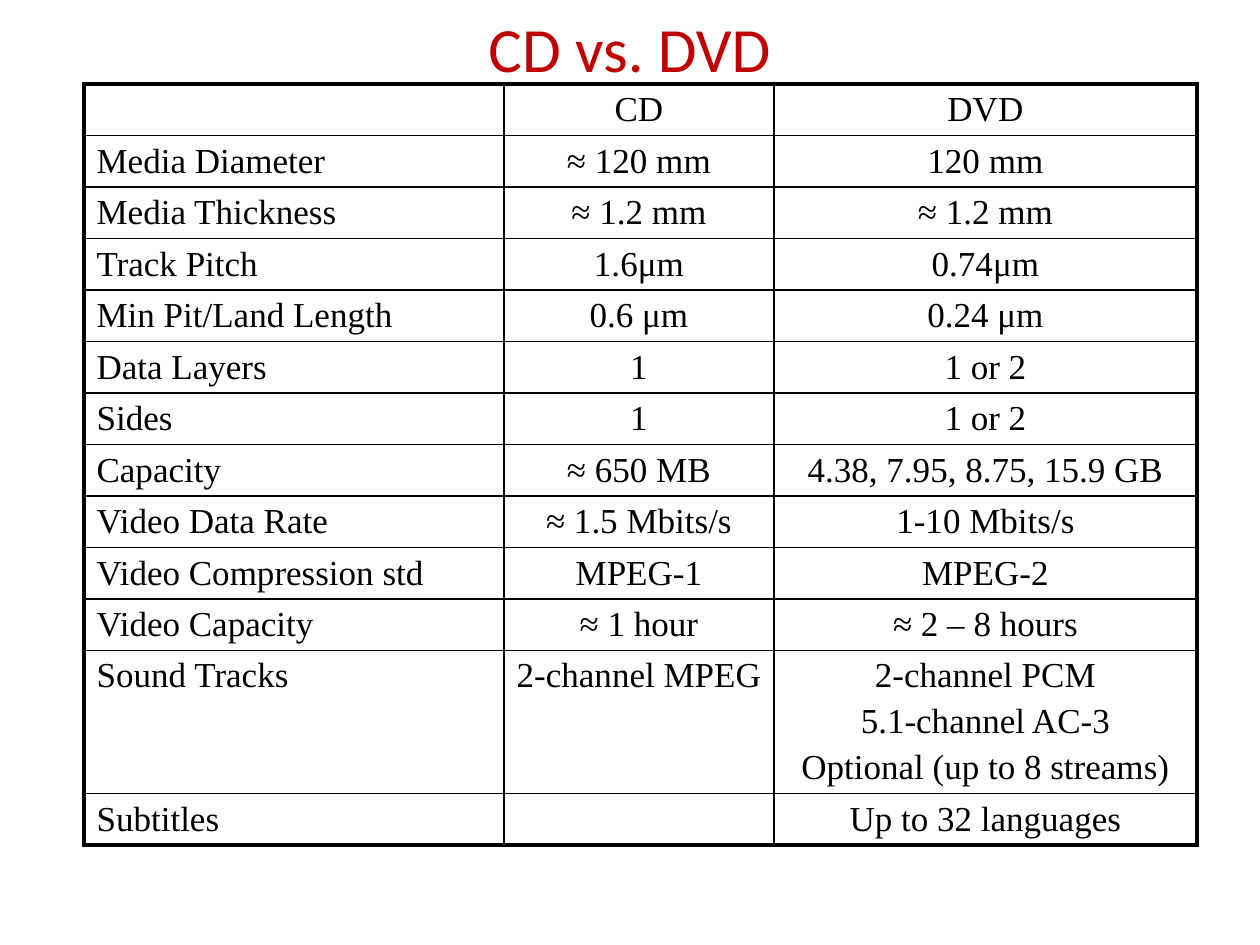
from lxml import etree
from pptx import Presentation
from pptx.dml.color import RGBColor
from pptx.enum.text import MSO_ANCHOR, MSO_AUTO_SIZE, PP_ALIGN
from pptx.oxml.ns import qn
from pptx.util import Emu, Pt

LEFT, CENTER = PP_ALIGN.LEFT, PP_ALIGN.CENTER
TITLE_ONLY = 5
COLORS = {"title": "C00000", "ink": "000000"}
TITLE = "CD vs. DVD"
TITLE_AT = (94, 0, 1071, 94)
TABLE_AT = (84, 84)
COLUMNS = (420, 270, 423)
LINE, PARAGRAPH_GAP, CELL_MARGINS = 39, 7, 12
THIN, THICK = Pt(1), Pt(2.25)

ROWS = [
    ("", "CD", "DVD"),
    ("Media Diameter", "≈ 120 mm", "120 mm"),
    ("Media Thickness", "≈ 1.2 mm", "≈ 1.2 mm"),
    ("Track Pitch", "1.6μm", "0.74μm"),
    ("Min Pit/Land Length", "0.6 μm", "0.24 μm"),
    ("Data Layers", "1", "1 or 2"),
    ("Sides", "1", "1 or 2"),
    ("Capacity", "≈ 650 MB", "4.38, 7.95, 8.75, 15.9 GB"),
    ("Video Data Rate", "≈ 1.5 Mbits/s", "1-10 Mbits/s"),
    ("Video Compression std", "MPEG-1", "MPEG-2"),
    ("Video Capacity", "≈ 1 hour", "≈ 2 – 8 hours"),
    ("Sound Tracks", "2-channel MPEG",
     "2-channel PCM\n5.1-channel AC-3\nOptional (up to 8 streams)"),
    ("Subtitles", "", "Up to 32 languages"),
]


def px(count):
    return Emu(round(count * 914400 / 126))


def format_text(frame, font, size, color, align, gap=0):
    for para in frame.paragraphs:
        para.alignment = align
        para.space_before = Pt(gap)
        for name, value in {"name": font, "size": Pt(size)}.items():
            setattr(para.font, name, value)
            for span in para.runs:
                setattr(span.font, name, value)
        for span in para.runs:
            span.font.color.rgb = RGBColor.from_string(COLORS[color])


def set_borders(cell, widths):
    """Draw solid borders; widths run left, right, top, bottom."""
    props = cell._tc.get_or_add_tcPr()
    for index, (side, width) in enumerate(zip("LRTB", widths)):
        line = etree.Element(qn(f"a:ln{side}"), w=str(int(width)))
        fill = etree.SubElement(line, qn("a:solidFill"))
        etree.SubElement(fill, qn("a:srgbClr"), val=COLORS["ink"])
        props.insert(index, line)


def row_height(row):
    lines = max(text.count("\n") for text in row) + 1
    return lines * LINE + (lines - 1) * PARAGRAPH_GAP + CELL_MARGINS


def add_title(page):
    box = page.shapes.title
    box.left, box.top, box.width, box.height = map(px, TITLE_AT)
    frame = box.text_frame
    frame.text = TITLE
    frame.auto_size = MSO_AUTO_SIZE.NONE
    frame.vertical_anchor = MSO_ANCHOR.MIDDLE
    format_text(frame, "Calibri", 36, "title", CENTER)


def add_comparison(page):
    heights = [row_height(row) for row in ROWS]
    size = (sum(COLUMNS), sum(heights))
    table = page.shapes.add_table(
        len(ROWS), len(COLUMNS), *map(px, TABLE_AT + size)).table
    table.first_row = table.horz_banding = False
    for column, width in zip(table.columns, COLUMNS):
        column.width = px(width)
    last_row, last_column = len(ROWS) - 1, len(COLUMNS) - 1
    for r, row in enumerate(ROWS):
        table.rows[r].height = px(heights[r])
        for c, text in enumerate(row):
            cell = table.cell(r, c)
            cell.text = text
            cell.fill.background()
            format_text(cell.text_frame, "Times New Roman", 20, "ink",
                        CENTER if c else LEFT, gap=4)
            outer = (c == 0, c == last_column, r == 0, r == last_row)
            set_borders(cell, [THICK if edge else THIN for edge in outer])


def main():
    deck = Presentation()
    deck.slide_width, deck.slide_height = px(1260), px(945)
    page = deck.slides.add_slide(deck.slide_layouts[TITLE_ONLY])
    add_title(page)
    add_comparison(page)
    deck.save("out.pptx")


if __name__ == "__main__":
    main()
